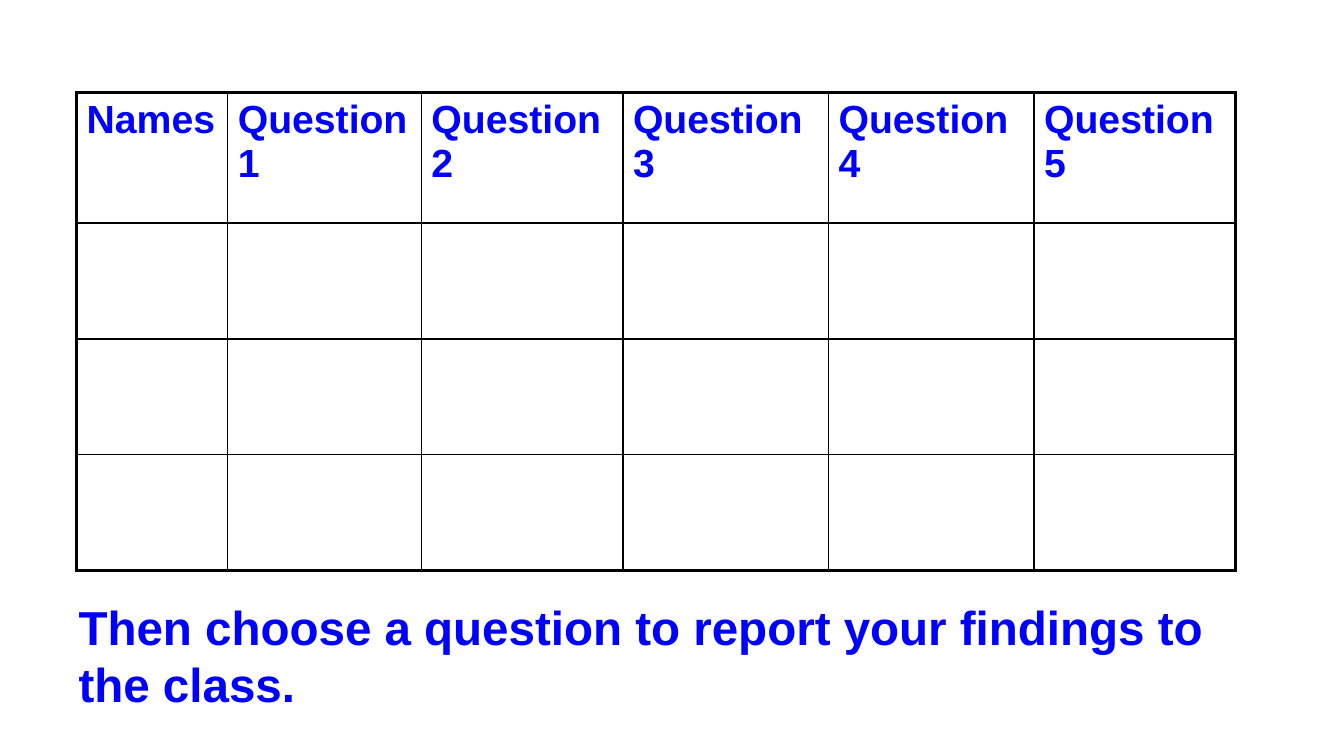
from lxml.etree import SubElement
from pptx import Presentation
from pptx.dml.color import RGBColor
from pptx.enum.text import MSO_AUTO_SIZE as Fit
from pptx.oxml import parse_xml
from pptx.oxml.ns import qn, nsdecls
from pptx.util import Cm, Pt

BLUE = RGBColor(0, 0, 255)
BLACK = RGBColor(0, 0, 0)
THICK, THIN = Pt(2.25), Pt(1)


class Sheet:
    face = "Arial"

    def __init__(self, slide):
        self.slide = slide

    def label(self, frame, words, size):
        frame.word_wrap = True
        para = frame.paragraphs[0]
        para.text = words
        font = para.font
        font.name, font.size, font.bold = self.face, Pt(size), True
        font.color.rgb = BLUE

    def text(self, words, size, left, top, width, height):
        box = self.slide.shapes.add_textbox(Cm(left), Cm(top), Cm(width), Cm(height))
        box.text_frame.auto_size = Fit.SHAPE_TO_FIT_TEXT
        self.label(box.text_frame, words, size)

    def edge(self, cell, outer):
        props = cell._tc.get_or_add_tcPr()
        for spot, (side, far) in enumerate(zip("LRTB", outer)):
            line = parse_xml(f'<a:ln{side} {nsdecls("a")} w="{THICK if far else THIN}"/>')
            fill = SubElement(line, qn("a:solidFill"))
            SubElement(fill, qn("a:srgbClr"), val=str(BLACK))
            props.insert(spot, line)

    def table(self, heads, size, left, top, wide, tall):
        cols, rows = len(wide), len(tall)
        frame = self.slide.shapes.add_table(
            rows, cols, Cm(left), Cm(top), Cm(sum(wide)), Cm(sum(tall)))
        grid = frame.table
        grid.first_row = grid.horz_banding = False
        for col, width in zip(grid.columns, wide):
            col.width = Cm(width)
        for row, height in zip(grid.rows, tall):
            row.height = Cm(height)
        for r in range(rows):
            for c in range(cols):
                cell = grid.cell(r, c)
                cell.fill.background()
                self.edge(cell, (c == 0, c == cols - 1, r == 0, r == rows - 1))
                self.label(cell.text_frame, "" if r else heads[c], size)


def main():
    deck = Presentation()
    deck.slide_width, deck.slide_height = Cm(33.87), Cm(19.05)
    sheet = Sheet(deck.slides.add_slide(deck.slide_layouts[6]))
    heads = ["Names"] + [f"Question {n}" for n in range(1, 6)]
    sheet.table(heads, 28, 1.93, 2.34,
                [3.81, 4.88, 5.08, 5.18, 5.18, 5.08], [3.28] + [2.92] * 3)
    sheet.text("Then choose a question to report your findings to the class.",
               34, 1.73, 14.94, 30.61, 3.18)
    deck.save("out.pptx")


if __name__ == "__main__":
    main()
